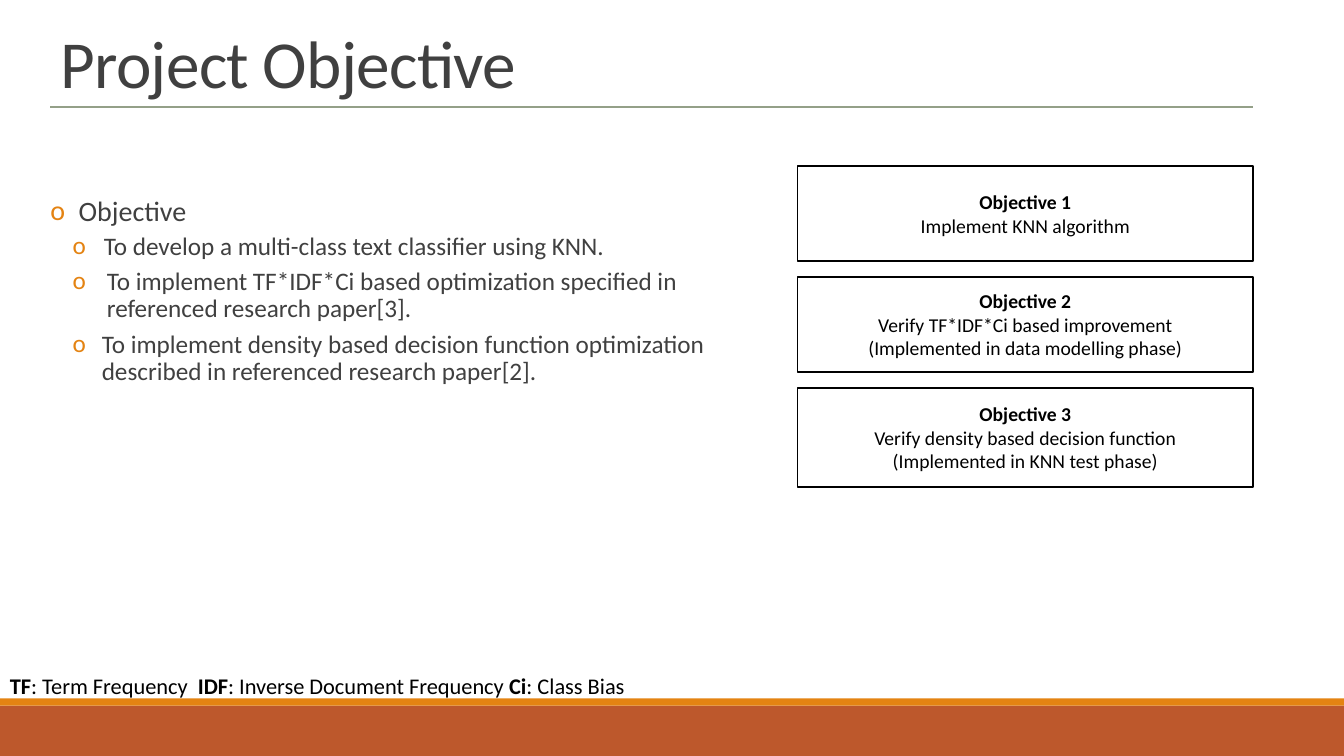
import pptx
import pptx.dml.color
import pptx.enum.shapes
import pptx.enum.text
import pptx.oxml.ns
import pptx.util
from lxml import etree

Inches = pptx.util.Inches
Pt = pptx.util.Pt
ALIGN = pptx.enum.text.PP_ALIGN
ANCHOR = pptx.enum.text.MSO_ANCHOR
qn = pptx.oxml.ns.qn

BULLETS = [
    ("Objective", 0, 20, 0.28, 0.28, 12, 2),
    ("To develop a multi-class text classifier using KNN.", 1, 18, 0.53, 0.31, 2, 4),
    ("To implement TF*IDF*Ci based optimization specified in referenced research paper[3].",
     1, 18, 0.56, 0.34, 2, 4),
    ("To implement density based decision function optimization described in "
     "referenced research paper[2].", 1, 18, 0.51, 0.29, 2, 4),
]
OBJECTIVES = [
    (0.94, ["Objective 1", "Implement KNN algorithm"]),
    (0.94, ["Objective 2", "Verify TF*IDF*Ci based improvement",
            "(Implemented in data modelling phase)"]),
    (0.98, ["Objective 3", "Verify density based decision function",
            "(Implemented in KNN test phase)"]),
]
ABBREVIATIONS = [("TF", ": Term Frequency"), ("IDF", ": Inverse Document Frequency"),
                 ("Ci", ": Class Bias")]


def colour(value):
    return pptx.dml.color.RGBColor.from_string(value)


def write(paragraph, text, size=14, color="000000", bold=False, tracking=0):
    run = paragraph.add_run()
    run.text = text
    run.font.name = "Calibri"
    run.font.size = Pt(size)
    run.font.bold = bold
    run.font.color.rgb = colour(color)
    if tracking:
        run.font._element.set("spc", str(int(tracking * 100)))


def next_paragraph(frame, index):
    return frame.add_paragraph() if index else frame.paragraphs[0]


def add_bullet(paragraph, margin, hanging):
    properties = paragraph._p.get_or_add_pPr()
    properties.set("marL", str(Inches(margin)))
    properties.set("indent", str(-Inches(hanging)))
    bullet_color = etree.SubElement(properties, qn("a:buClr"))
    etree.SubElement(bullet_color, qn("a:srgbClr"), val="E48312")
    etree.SubElement(properties, qn("a:buFont"), typeface="Calibri")
    etree.SubElement(properties, qn("a:buChar"), char="o")


def add_rectangle(slide, left, top, width, height, fill, outline=None):
    rectangle = slide.shapes.add_shape(
        pptx.enum.shapes.MSO_SHAPE.RECTANGLE,
        Inches(left), Inches(top), Inches(width), Inches(height))
    rectangle.shadow.inherit = False
    rectangle.fill.solid()
    rectangle.fill.fore_color.rgb = colour(fill)
    if outline:
        rectangle.line.color.rgb = colour(outline)
        rectangle.line.width = Pt(1.25)
    else:
        rectangle.line.fill.background()
    return rectangle


def add_footer_bands(slide, left, top, width):
    add_rectangle(slide, left, top + 0.07, width, 0.5, "BD582C")
    add_rectangle(slide, left, top, width, 0.07, "E48312")


def add_heading(slide, left, top, width, height, rule_width):
    title = slide.shapes.title
    title.left, title.top = Inches(left), Inches(top)
    title.width, title.height = Inches(width), Inches(height)
    frame = title.text_frame
    frame.word_wrap = True
    frame.auto_size = pptx.enum.text.MSO_AUTO_SIZE.NONE
    frame.vertical_anchor = ANCHOR.BOTTOM
    paragraph = frame.paragraphs[0]
    paragraph.alignment = ALIGN.LEFT
    paragraph.line_spacing = 0.85
    write(paragraph, "Project Objective", size=48, color="404040", tracking=-0.5)

    bottom = Inches(top + height)
    rule = slide.shapes.add_connector(
        pptx.enum.shapes.MSO_CONNECTOR.STRAIGHT,
        Inches(left), bottom, Inches(left + rule_width), bottom)
    rule.line.color.rgb = colour("94A088")
    rule.line.width = Pt(1.25)
    etree.SubElement(rule._element.spPr, qn("a:effectLst"))


def add_objective_list(slide, left, top, width, height):
    frame = slide.shapes.add_textbox(
        Inches(left), Inches(top), Inches(width), Inches(height)).text_frame
    frame.word_wrap = True
    frame.margin_left = frame.margin_right = 0
    for index, (text, level, size, margin, hanging, before, after) in enumerate(BULLETS):
        paragraph = next_paragraph(frame, index)
        paragraph.level = level
        paragraph.line_spacing = 0.9
        paragraph.space_before = Pt(before)
        paragraph.space_after = Pt(after)
        add_bullet(paragraph, margin, hanging)
        write(paragraph, text, size=size, color="404040")


def add_objective_boxes(slide, left, top, width, pitch):
    for row, (height, lines) in enumerate(OBJECTIVES):
        box = add_rectangle(slide, left, top + row * pitch, width, height, "FFFFFF", "000000")
        frame = box.text_frame
        frame.word_wrap = True
        frame.vertical_anchor = ANCHOR.MIDDLE
        for index, line in enumerate(lines):
            paragraph = next_paragraph(frame, index)
            paragraph.alignment = ALIGN.CENTER
            write(paragraph, line, bold=index == 0)


def add_abbreviations(slide, left, top, width, height):
    frame = slide.shapes.add_textbox(
        Inches(left), Inches(top), Inches(width), Inches(height)).text_frame
    frame.word_wrap = True
    paragraph = frame.paragraphs[0]
    for index, (term, meaning) in enumerate(ABBREVIATIONS):
        if index:
            write(paragraph, " ", size=16, tracking=3.6 if index == 1 else 0)
        write(paragraph, term, size=16, bold=True)
        write(paragraph, meaning, size=16)


def main():
    presentation = pptx.Presentation()
    presentation.slide_width = Inches(13.33)
    presentation.slide_height = Inches(7.5)
    slide = presentation.slides.add_slide(presentation.slide_layouts[5])
    add_footer_bands(slide, 0, 6.93, 13.33)
    add_objective_list(slide, 0.5, 1.91, 6.9, 3.18)
    add_heading(slide, 0.5, 0.01, 11, 1.05, rule_width=11.93)
    add_abbreviations(slide, 0, 6.62, 7.71, 0.37)
    add_objective_boxes(slide, 7.91, 1.65, 4.52, pitch=1.1)
    presentation.save("out.pptx")


if __name__ == "__main__":
    main()
